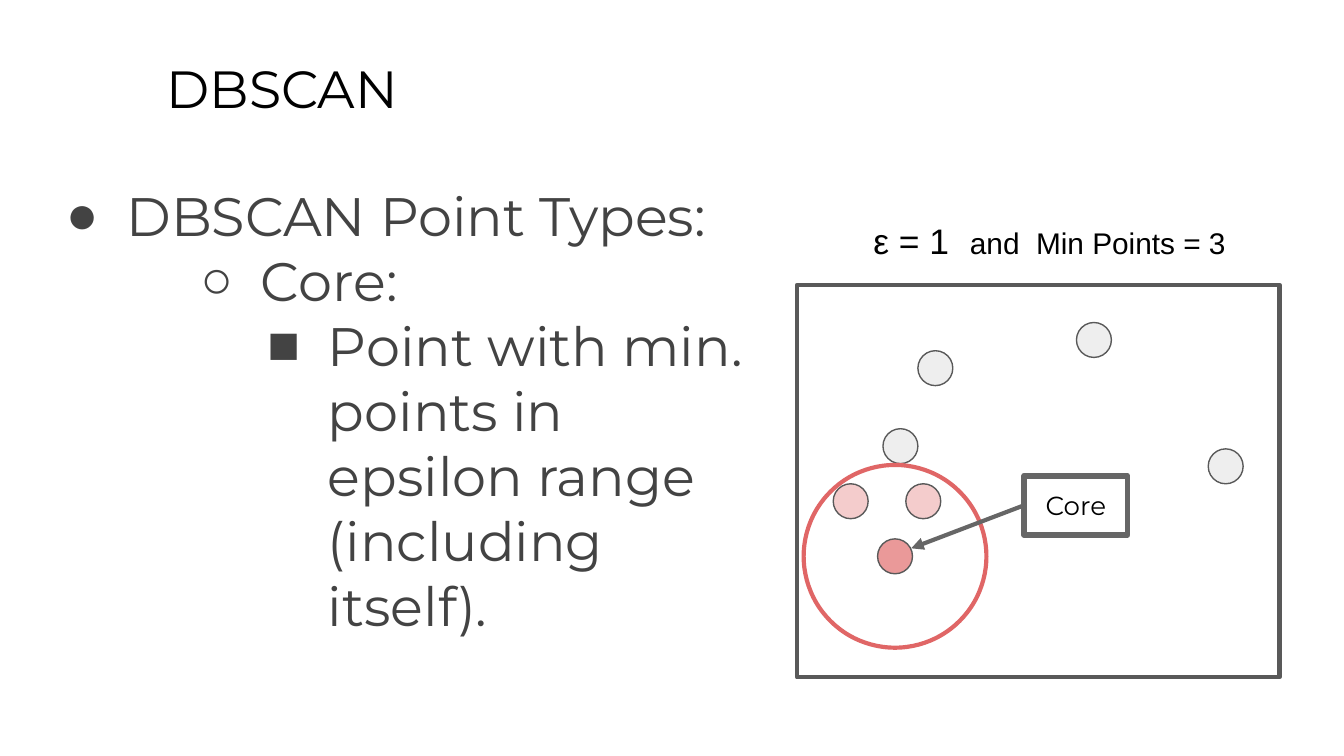
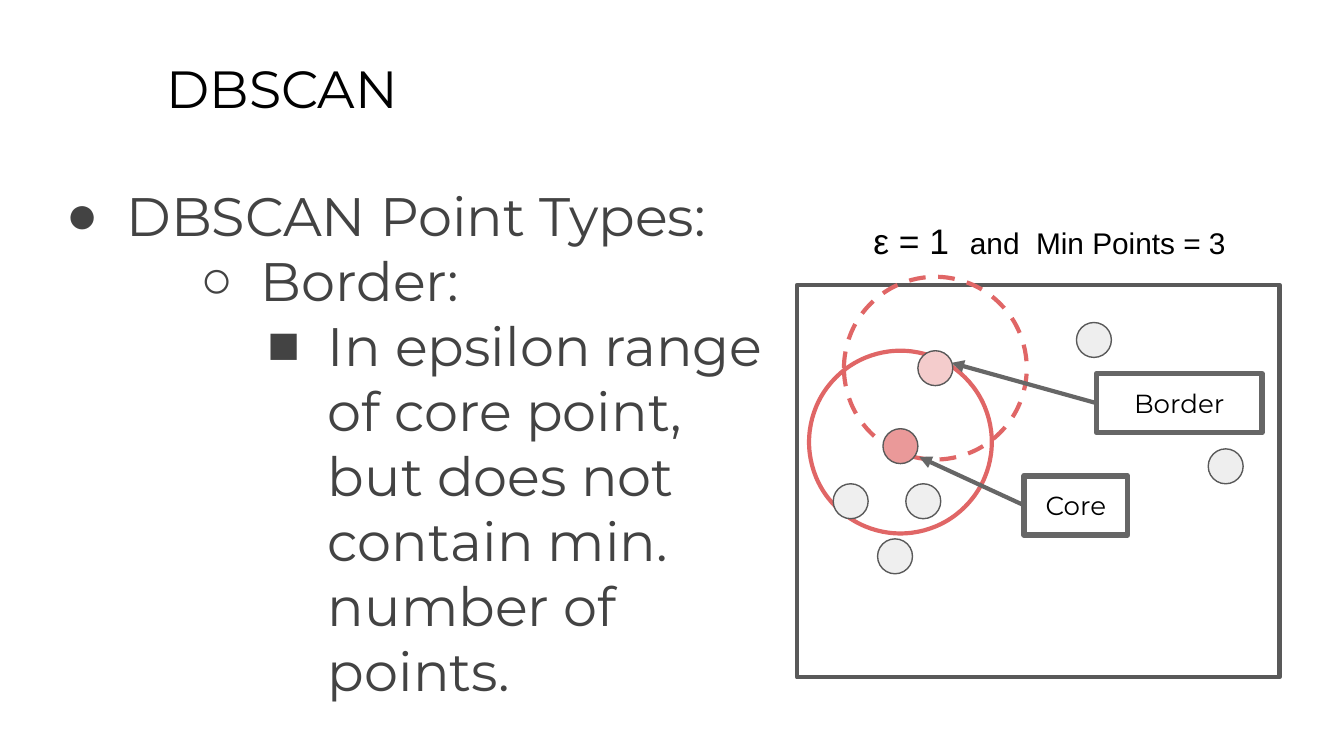
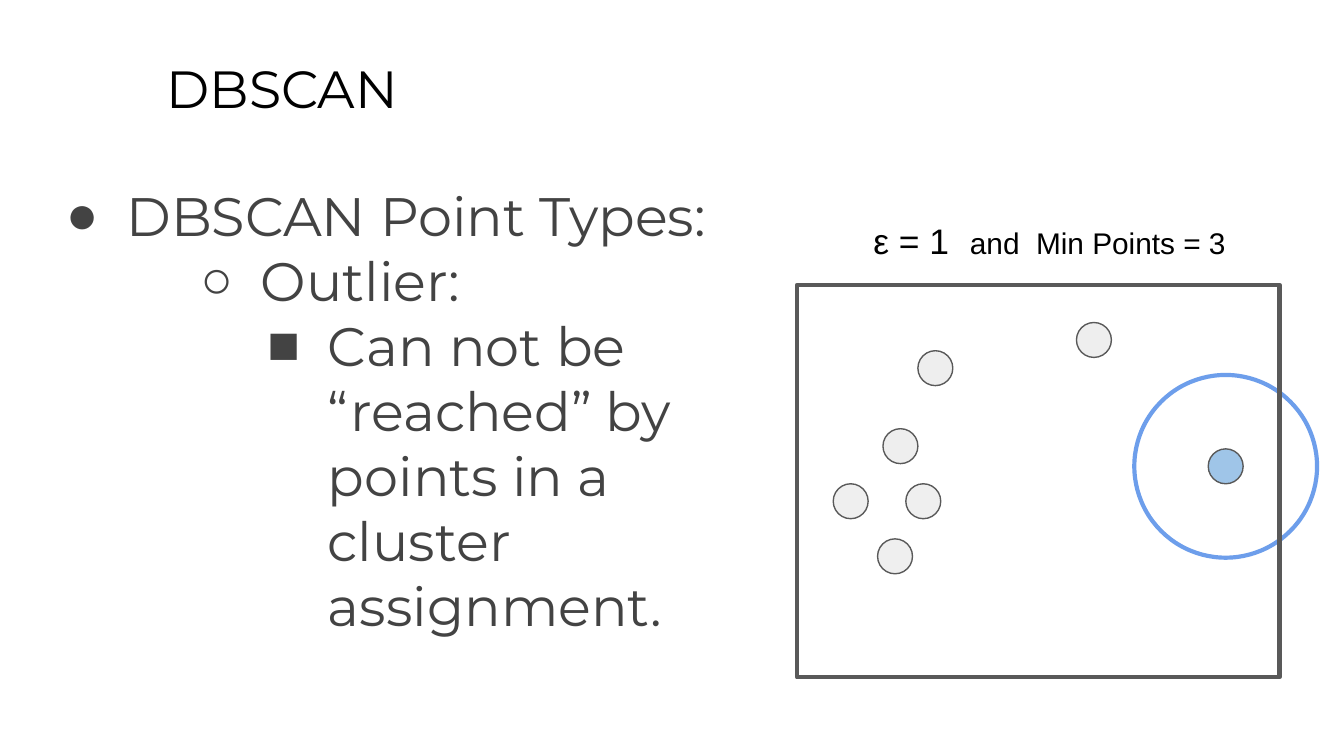
"""Build three slides on the DBSCAN point types: core, border and outlier."""
from dataclasses import dataclass, field
from enum import Enum
from typing import Optional

from lxml.etree import SubElement
from pptx import Presentation
from pptx.dml.color import RGBColor
from pptx.enum.dml import MSO_LINE
from pptx.enum.shapes import MSO_CONNECTOR, MSO_SHAPE
from pptx.enum.text import MSO_ANCHOR, MSO_AUTO_SIZE, PP_ALIGN
from pptx.oxml.ns import qn
from pptx.util import Inches, Pt

BLACK = RGBColor(0x00, 0x00, 0x00)
INK = RGBColor(0x43, 0x43, 0x43)
EDGE = RGBColor(0x59, 0x59, 0x59)
GREY = RGBColor(0x66, 0x66, 0x66)
MIST = RGBColor(0xEE, 0xEE, 0xEE)
PALE = RGBColor(0xEF, 0xEF, 0xEF)
PINK = RGBColor(0xF4, 0xCC, 0xCC)
ROSE = RGBColor(0xEA, 0x99, 0x99)
RED = RGBColor(0xE0, 0x66, 0x66)
SKY = RGBColor(0x9F, 0xC5, 0xE8)
BLUE = RGBColor(0x6D, 0x9E, 0xEB)

SANS = "Montserrat"
PLAIN = "Arial"
WIDE = Inches(10)
TALL = WIDE * 9 // 16
DOT = 0.13
REACH = 0.68
PAD = Inches(0.1)

SPOTS = {
    "mid": (6.70, 3.32),
    "left": (6.33, 3.73),
    "right": (6.87, 3.73),
    "low": (6.66, 4.14),
    "high": (6.96, 2.74),
    "top": (8.14, 2.53),
    "far": (9.12, 3.47),
}
BULLETS = (("●", 0.5), ("○", 1.5), ("■", 2.0))
CAPTION = (("ε = 1 ", 19), (" ", 21), ("and  Min Points = 3", 16))


class Layer(Enum):
    """Where a ring lies in the stack."""
    BACK = 0
    MID = 1
    FRONT = 2


@dataclass
class Ring:
    """An epsilon range around a named point."""
    spot: str
    hue: RGBColor
    layer: Layer
    lift: float = 0
    dash: bool = False


@dataclass
class Tag:
    """A boxed label with an arrow to a point."""
    text: str
    box: tuple[float, float, float, float]
    tip: tuple[float, float]


@dataclass
class Page:
    """The wording and diagram of one slide."""
    kind: str
    note: str
    fills: dict[str, RGBColor]
    rings: list[Ring]
    tags: list[Tag] = field(default_factory=list)
    width: float = 5.49


CORE = (7.62, 3.54, 0.77, 0.44)
CALM = dict.fromkeys(("left", "right", "low"), PALE)
PAGES = [
    Page("Core:", "Point with min. points in epsilon range (including itself).",
         {"left": PINK, "right": PINK, "low": ROSE},
         [Ring("low", RED, Layer.FRONT)],
         [Tag("Core", CORE, (6.78, 4.08))]),
    Page("Border:", "In epsilon range of core point, but does not contain "
         "min. number of points.",
         CALM | {"mid": ROSE, "high": PINK},
         [Ring("high", RED, Layer.MID, dash=True),
          Ring("mid", RED, Layer.MID, lift=0.03)],
         [Tag("Core", CORE, (6.84, 3.40)),
          Tag("Border", (8.16, 2.78, 1.23, 0.44), (7.08, 2.70))],
         width=5.57),
    Page("Outlier:", "Can not be “reached” by points in a cluster assignment.",
         CALM | {"far": SKY},
         [Ring("far", BLUE, Layer.BACK)]),
]


def write(para, text: str, *, size: float, face: str = SANS,
          hue: RGBColor = BLACK, align=PP_ALIGN.LEFT) -> None:
    """Add a formatted run to a paragraph."""
    para.alignment = align
    para.line_spacing = 1.0
    para.space_before = para.space_after = Pt(0)
    run = para.add_run()
    run.text = text
    run.font.size = Pt(size)
    run.font.name = face
    run.font.color.rgb = hue


def setup(frame, fit=MSO_AUTO_SIZE.NONE) -> None:
    """Give a text frame the shared insets, wrap and anchor."""
    frame.margin_left = frame.margin_right = PAD
    frame.margin_top = frame.margin_bottom = PAD
    frame.word_wrap = True
    frame.auto_size = fit
    frame.vertical_anchor = MSO_ANCHOR.TOP


def place(shape, left: float, top: float, width: float, height: float) -> None:
    """Move and size a shape in inches."""
    shape.left, shape.top = Inches(left), Inches(top)
    shape.width, shape.height = Inches(width), Inches(height)


def mark(para, level: int) -> None:
    """Set the bullet and hanging indent of a list level."""
    sign, indent = BULLETS[level]
    para.level = level
    props = para._p.get_or_add_pPr()
    props.set("marL", str(Inches(indent)))
    props.set("indent", str(Inches(-0.45)))
    tint = SubElement(props, qn("a:buClr"))
    SubElement(tint, qn("a:srgbClr"), val=str(INK))
    SubElement(props, qn("a:buFont"), typeface=PLAIN)
    SubElement(props, qn("a:buChar"), char=sign)


def draw(slide, kind, box: tuple, line: RGBColor, weight: float,
         fill: Optional[RGBColor] = None):
    """Draw an outlined preset shape."""
    shape = slide.shapes.add_shape(kind, *map(Inches, box))
    shape.shadow.inherit = False
    if fill is None:
        shape.fill.background()
    else:
        shape.fill.solid()
        shape.fill.fore_color.rgb = fill
    shape.line.color.rgb = line
    shape.line.width = Pt(weight)
    return shape


def disc(slide, spot: str, radius: float, line: RGBColor, weight: float,
         fill: Optional[RGBColor] = None, lift: float = 0):
    """Draw a circle centred on a named point."""
    x, y = SPOTS[spot]
    box = (x - radius, y - radius - lift, 2 * radius, 2 * radius)
    return draw(slide, MSO_SHAPE.OVAL, box, line, weight, fill)


def loop(slide, rings: list[Ring], layer: Layer) -> None:
    """Draw the rings of one layer."""
    for ring in rings:
        if ring.layer is layer:
            shape = disc(slide, ring.spot, REACH, ring.hue, 2.25,
                         lift=ring.lift)
            if ring.dash:
                shape.line.dash_style = MSO_LINE.DASH


def label(slide, tag: Tag) -> None:
    """Draw a boxed label and its arrow."""
    box = draw(slide, MSO_SHAPE.RECTANGLE, tag.box, GREY, 3)
    setup(box.text_frame, MSO_AUTO_SIZE.SHAPE_TO_FIT_TEXT)
    write(box.text_frame.paragraphs[0], tag.text, size=14,
          align=PP_ALIGN.CENTER)
    x, y = map(Inches, tag.tip)
    arrow = slide.shapes.add_connector(MSO_CONNECTOR.STRAIGHT, x, y, x, y)
    arrow.end_connect(box, 1)
    arrow.line.color.rgb = GREY
    arrow.line.width = Pt(2.25)
    SubElement(arrow.line._get_or_add_ln(), qn("a:headEnd"), type="triangle")
    SubElement(arrow._element.spPr, qn("a:effectLst"))


def words(slide, page: Page) -> None:
    """Fill the title and the bullet list."""
    title, body = slide.shapes.title, slide.placeholders[1]
    place(title, 1.14, 0.32, 8.52, 0.63)
    setup(title.text_frame)
    write(title.text_frame.paragraphs[0], "DBSCAN", size=28)
    place(body, 0.34, 1.26, page.width, 3.74)
    frame = body.text_frame
    setup(frame)
    for level, text in enumerate(("DBSCAN Point Types:", page.kind, page.note)):
        para = frame.add_paragraph() if level else frame.paragraphs[0]
        write(para, text, size=29, hue=INK)
        mark(para, level)


def chart(slide, page: Page) -> None:
    """Draw the point diagram with its caption."""
    loop(slide, page.rings, Layer.BACK)
    draw(slide, MSO_SHAPE.RECTANGLE, (5.93, 2.12, 3.59, 2.92), EDGE, 2.25)
    loop(slide, page.rings, Layer.MID)
    for spot in SPOTS:
        disc(slide, spot, DOT, EDGE, 0.75, page.fills.get(spot, MIST))
    box = slide.shapes.add_textbox(*map(Inches, (6.4, 1.5, 2.99, 0.56)))
    setup(box.text_frame, MSO_AUTO_SIZE.SHAPE_TO_FIT_TEXT)
    for text, size in CAPTION:
        write(box.text_frame.paragraphs[0], text, size=size, face=PLAIN)
    loop(slide, page.rings, Layer.FRONT)
    for tag in page.tags:
        label(slide, tag)


def main() -> None:
    """Build and save the deck."""
    deck = Presentation()
    deck.slide_width, deck.slide_height = WIDE, TALL
    for page in PAGES:
        slide = deck.slides.add_slide(deck.slide_layouts[1])
        words(slide, page)
        chart(slide, page)
    deck.save("out.pptx")


if __name__ == "__main__":
    main()
